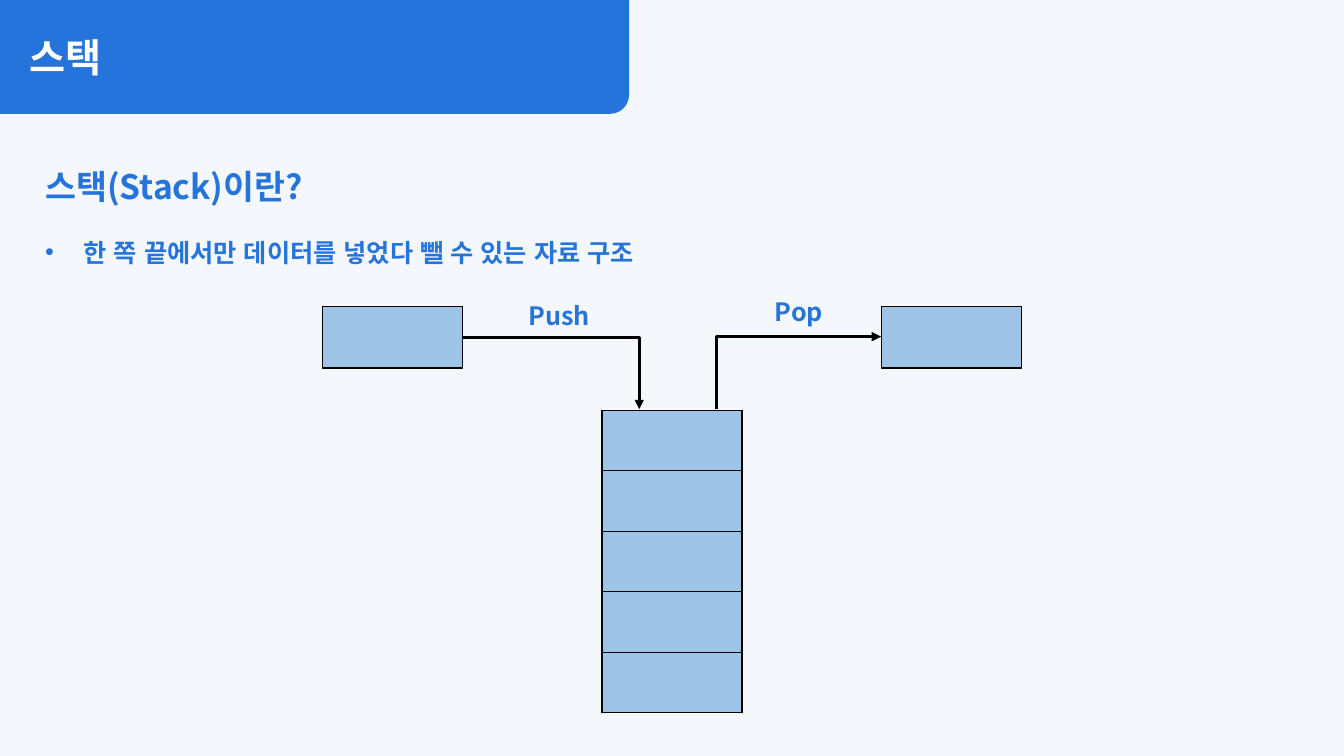
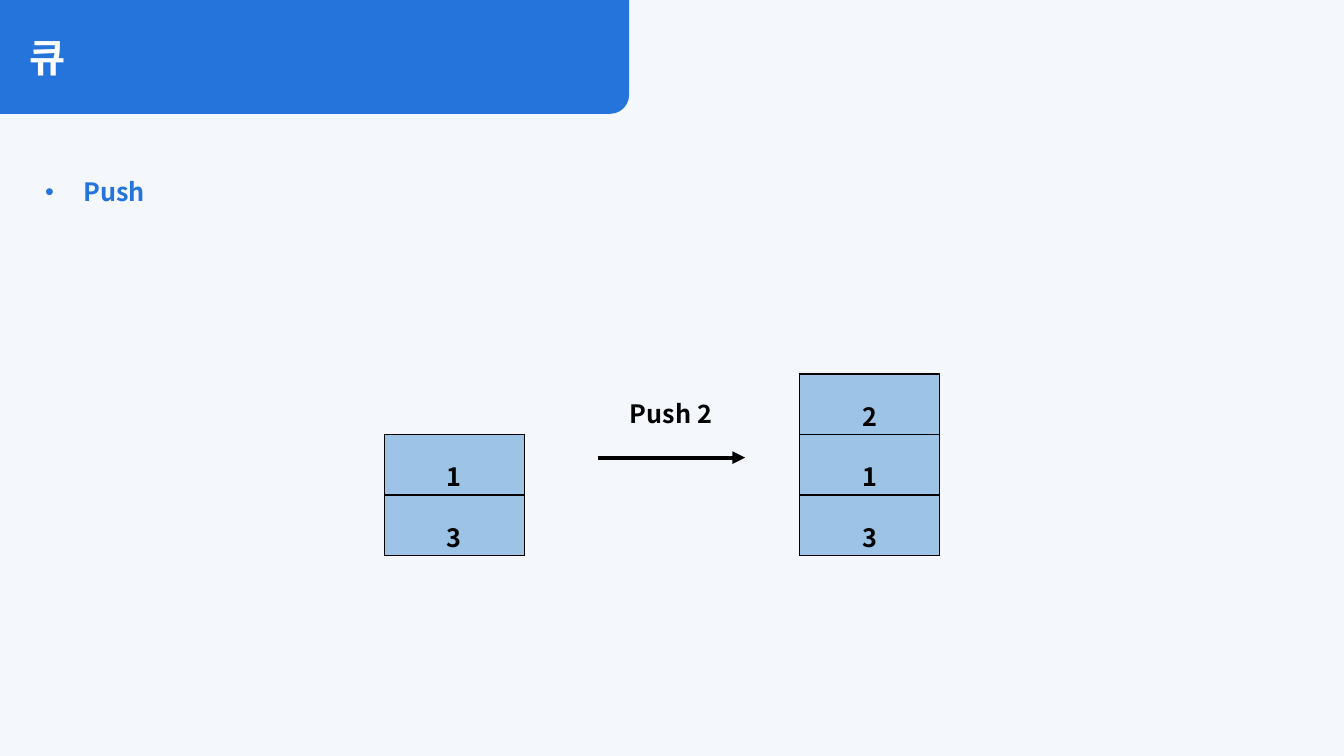
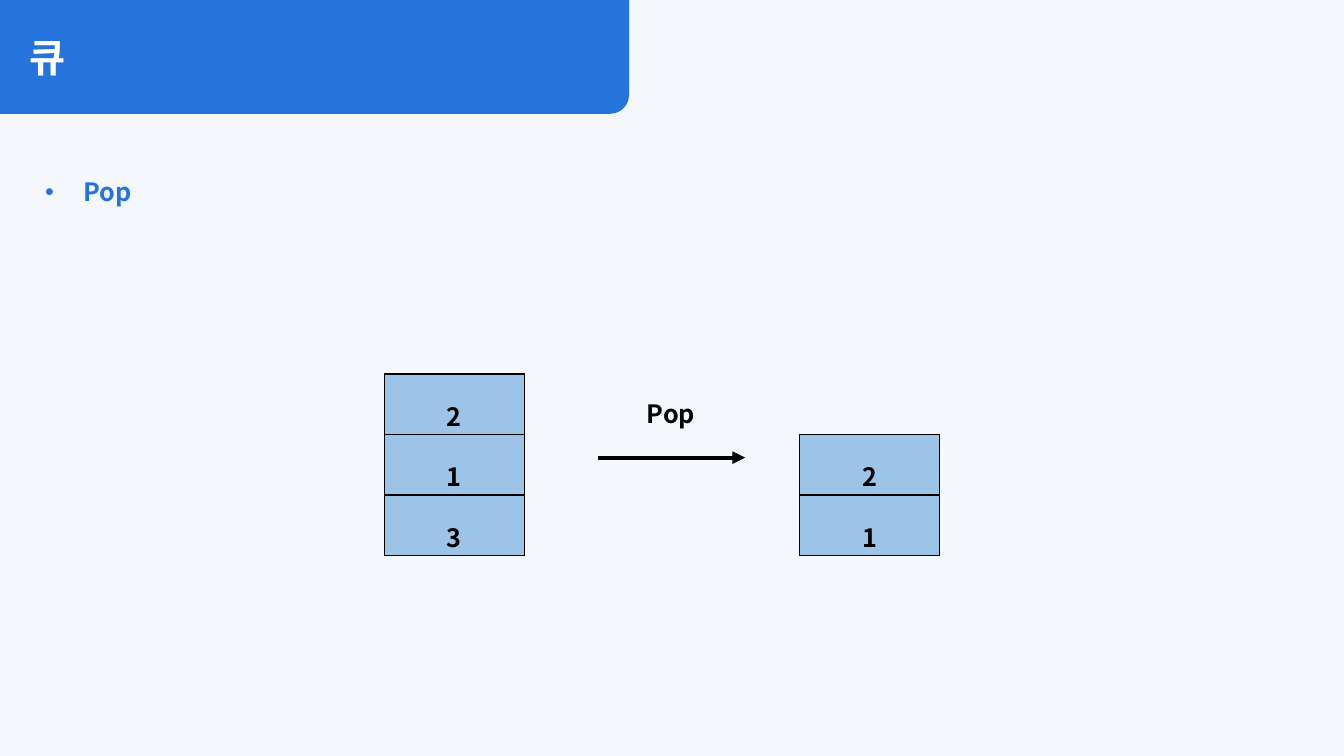
from dataclasses import dataclass

from lxml.etree import SubElement
from pptx import Presentation
from pptx.dml.color import RGBColor
from pptx.enum.lang import MSO_LANGUAGE_ID as Language
from pptx.enum.shapes import MSO_CONNECTOR as Connector, MSO_SHAPE as Preset
from pptx.enum.text import MSO_ANCHOR as Anchor, MSO_AUTO_SIZE as AutoSize, PP_ALIGN as Align
from pptx.oxml.ns import qn
from pptx.util import Pt

EMU_PER_PX = 9144  # 100 px to the inch


@dataclass(frozen=True)
class Theme:
    font: str = "Noto Sans CJK KR"
    background: RGBColor = RGBColor(0xF4, 0xF7, 0xFC)
    primary: RGBColor = RGBColor(0x25, 0x74, 0xDB)
    block: RGBColor = RGBColor(0x9D, 0xC3, 0xE6)
    ink: RGBColor = RGBColor(0, 0, 0)
    white: RGBColor = RGBColor(0xFF, 0xFF, 0xFF)
    title_size: int = 28
    heading_size: int = 24
    body_size: int = 18
    border: float = 1


THEME = Theme()
BLOCK_WIDTH, BLOCK_HEIGHT = 139, 60
STACK_BOTTOM = 551
BULLET_INDENT = 38


def px(*lengths):
    return [length * EMU_PER_PX for length in lengths]


def style_paragraph(paragraph, text, size, color, align=Align.LEFT, spacing=None):
    paragraph.text = text
    paragraph.alignment = align
    if spacing:
        paragraph.line_spacing = spacing
    font = paragraph.font
    font.size, font.bold, font.name = Pt(size), True, THEME.font
    font.language_id = Language.KOREAN
    font.color.rgb = color
    SubElement(font._rPr, qn("a:ea"), typeface=THEME.font)


def add_bullet(paragraph):
    properties = paragraph._p.get_or_add_pPr()
    indent, = px(BULLET_INDENT)
    properties.set("marL", str(indent))
    properties.set("indent", str(-indent))
    SubElement(properties, qn("a:buFont"), typeface="Arial")
    SubElement(properties, qn("a:buChar"), char="•")


def prepare_layout(prs):
    """Give the title-only layout its background and title place."""
    prs.slide_master.background.fill.solid()
    prs.slide_master.background.fill.fore_color.rgb = THEME.background
    layout = prs.slide_layouts.get_by_name("Title Only")
    for placeholder in list(layout.placeholders)[1:]:
        layout.shapes._spTree.remove(placeholder._element)
    title = layout.placeholders[0]
    title.left, title.top, title.width, title.height = px(19, 28, 585, 57)
    return layout


def add_title_band(slide):
    band = slide.shapes.add_shape(Preset.ROUND_1_RECTANGLE, *px(0, 0, 624, 113))
    band.shadow.inherit = False
    band.fill.solid()
    band.fill.fore_color.rgb = THEME.primary
    band.line.fill.background()
    band._element.spPr.find(qn("a:xfrm")).set("flipV", "1")
    slide.shapes._spTree.insert(2, band._element)  # behind the title


def add_slide(prs, layout, title):
    slide = prs.slides.add_slide(layout)
    add_title_band(slide)
    frame = slide.shapes.title.text_frame
    frame.auto_size = AutoSize.NONE
    frame.vertical_anchor = Anchor.MIDDLE
    style_paragraph(frame.paragraphs[0], title, THEME.title_size, THEME.white)
    return slide


def add_text_frame(slide, left, top, width, height):
    frame = slide.shapes.add_textbox(*px(left, top, width, height)).text_frame
    frame.word_wrap = True
    frame.auto_size = AutoSize.SHAPE_TO_FIT_TEXT
    return frame


def add_body(slide, point, heading=None):
    frame = add_text_frame(slide, 35, 140, 1261, 122 if heading else 61)
    paragraph = frame.paragraphs[0]
    if heading:
        style_paragraph(paragraph, heading, THEME.heading_size, THEME.primary, spacing=1.5)
        paragraph = frame.add_paragraph()
    add_bullet(paragraph)
    style_paragraph(paragraph, point, THEME.body_size, THEME.primary, spacing=2.0)


def add_label(slide, text, left, top, width, color):
    frame = add_text_frame(slide, left, top, width, 41)
    style_paragraph(frame.paragraphs[0], text, THEME.body_size, color, Align.CENTER)


def add_block(slide, left, top):
    block = slide.shapes.add_shape(Preset.RECTANGLE, *px(left, top, BLOCK_WIDTH, 61))
    block.shadow.inherit = False
    block.fill.solid()
    block.fill.fore_color.rgb = THEME.block
    block.line.color.rgb = THEME.ink
    block.line.width = Pt(THEME.border)


def add_cell_borders(cell):
    properties = cell._tc.get_or_add_tcPr()
    for position, side in enumerate(("lnL", "lnR", "lnT", "lnB")):
        line = SubElement(properties, qn(f"a:{side}"), w=str(Pt(THEME.border)))
        fill = SubElement(line, qn("a:solidFill"))
        SubElement(fill, qn("a:srgbClr"), val=str(THEME.ink))
        properties.insert(position, line)


def add_stack(slide, values, left, bottom=STACK_BOTTOM):
    """Draw the values from top to bottom as a one-column table standing on bottom."""
    height = len(values) * BLOCK_HEIGHT
    frame = slide.shapes.add_table(
        len(values), 1, *px(left, bottom - height, BLOCK_WIDTH, height))
    table = frame.table
    table.first_row = table.horz_banding = False
    for row, value in zip(table.rows, values):
        cell = row.cells[0]
        cell.margin_bottom = 0
        cell.fill.solid()
        cell.fill.fore_color.rgb = THEME.block
        add_cell_borders(cell)
        if value:
            style_paragraph(cell.text_frame.paragraphs[0], value, THEME.body_size,
                            THEME.ink, Align.CENTER, 1.5)


def add_arrow(slide, start, end, width, bend=None):
    """Draw an arrow; bend is the share of its width at which an elbow turns."""
    kind = Connector.STRAIGHT if bend is None else Connector.ELBOW
    arrow = slide.shapes.add_connector(kind, *px(*start, *end))
    arrow.line.color.rgb = THEME.ink
    arrow.line.width = Pt(width)
    SubElement(arrow.line._get_or_add_ln(), qn("a:tailEnd"), type="triangle")
    properties = arrow._element.spPr
    SubElement(properties, qn("a:effectLst"))
    if bend is not None:
        adjustments = properties.find(qn("a:prstGeom")).get_or_add_avLst()
        SubElement(adjustments, qn("a:gd"), name="adj1", fmla=f"val {bend * 100000}")


def add_stack_overview(slide):
    add_body(slide, "한 쪽 끝에서만 데이터를 넣었다 뺄 수 있는 자료 구조", "스택(Stack)이란?")
    add_stack(slide, [""] * 5, 597, bottom=707)
    for left in (874, 320):
        add_block(slide, left, 304)
    add_arrow(slide, (459, 335), (634, 406), 2.25, bend=1)
    add_arrow(slide, (711, 406), (874, 334), 2.25, bend=0)
    add_label(slide, "Push", 504, 293, 101, THEME.primary)
    add_label(slide, "Pop", 742, 289, 101, THEME.primary)


def add_operation(slide, point, action, before, after):
    add_body(slide, point)
    add_stack(slide, before, 381)
    add_stack(slide, after, 793)
    add_arrow(slide, (593, 454), (739, 454), 3)
    add_label(slide, action, 596, 390, 139, THEME.ink)


def main():
    prs = Presentation()
    prs.slide_width, prs.slide_height = px(1333, 750)
    layout = prepare_layout(prs)
    add_stack_overview(add_slide(prs, layout, "스택"))
    add_operation(add_slide(prs, layout, "큐"), "Push", "Push 2", "13", "213")
    add_operation(add_slide(prs, layout, "큐"), "Pop", "Pop", "213", "21")
    prs.save("out.pptx")


if __name__ == "__main__":
    main()
